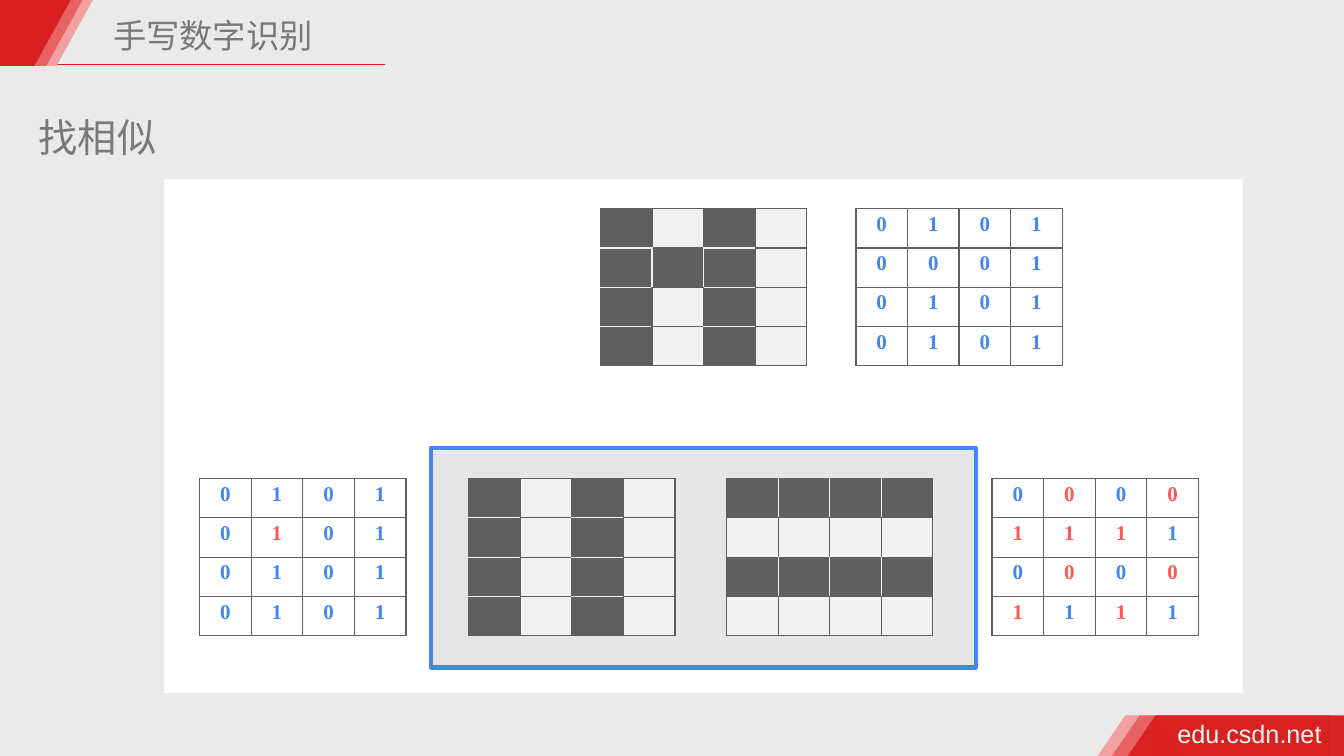
from pptx import Presentation
from pptx.dml.color import RGBColor
from pptx.enum.shapes import MSO_CONNECTOR, MSO_SHAPE as Preset
from pptx.enum.text import MSO_ANCHOR as Anchor, PP_ALIGN as Align
from pptx.oxml.ns import qn
from pptx.util import Cm, Pt
from lxml.etree import SubElement

BACKDROP = RGBColor(0xEA, 0xEA, 0xEA)
RED = RGBColor(0xD8, 0x20, 0x20)
MID_RED = RGBColor(0xE8, 0x62, 0x62)
PALE_RED = RGBColor(0xF1, 0xA1, 0xA1)
WHITE = RGBColor(0xFF, 0xFF, 0xFF)
DARK = RGBColor(0x5F, 0x5F, 0x5F)
LIGHT = RGBColor(0xF2, 0xF2, 0xF2)
FRAME_GREY = RGBColor(0xE6, 0xE6, 0xE6)
TEXT_GREY = RGBColor(0x79, 0x79, 0x79)
BLUE = RGBColor(0x42, 0x85, 0xF4)
MISMATCH = RGBColor(0xFF, 0x57, 0x51)

# Pixel patterns: 0 is a dark pixel, 1 a light one
TARGET = ["0101", "0001", "0101", "0101"]
STRIPES_DOWN = ["0101"] * 4
STRIPES_ACROSS = ["0000", "1111"] * 2


class SlideBuilder:
    chinese_font = "Noto Sans CJK SC"
    digit_font = "Times New Roman"
    label_font = "Arial"
    column_width, row_height = 1.3, 0.99

    def __init__(self, slide):
        self.slide = slide
        slide.background.fill.solid()
        slide.background.fill.fore_color.rgb = BACKDROP

    def block(self, preset, left, top, width, height, fill, line=None, opacity=100):
        block = self.slide.shapes.add_shape(
            preset, Cm(left), Cm(top), Cm(width), Cm(height))
        block.shadow.inherit = False
        block.fill.solid()
        block.fill.fore_color.rgb = fill
        if opacity < 100:
            color = block.fill._xPr.find(qn("a:solidFill"))[0]
            SubElement(color, qn("a:alpha"), val=str(opacity * 1000))
        if line is None:
            block.line.fill.background()
        else:
            block.line.color.rgb = line
            block.line.width = Pt(3)
        return block

    def rule(self, left, right, y, color):
        rule = self.slide.shapes.add_connector(
            MSO_CONNECTOR.STRAIGHT, Cm(left), Cm(y), Cm(right), Cm(y))
        rule.line.color.rgb = color
        rule.line.width = Pt(1)
        SubElement(rule._element.spPr, qn("a:effectLst"))

    def style(self, paragraph, size, font, color, bold=False):
        for run in paragraph.runs:
            run.font.size = Pt(size)
            run.font.name = font
            run.font.bold = bold
            run.font.color.rgb = color
            if font == self.chinese_font:
                SubElement(run._r.get_or_add_rPr(), qn("a:ea"), typeface=font)

    def title(self, text, left, top, width, height):
        title = self.slide.shapes.title
        title.left, title.top, title.width, title.height = map(
            Cm, (left, top, width, height))
        self.fill_text(title.text_frame, text, 23.8, self.chinese_font, TEXT_GREY, 0.13)
        title.text_frame.vertical_anchor = Anchor.MIDDLE
        title.text_frame.paragraphs[0].line_spacing = 1.1

    def label(self, text, left, top, width, height, size, font, color, inset):
        label = self.slide.shapes.add_textbox(Cm(left), Cm(top), Cm(width), Cm(height))
        self.fill_text(label.text_frame, text, size, font, color, inset)

    def fill_text(self, frame, text, size, font, color, inset):
        frame.text = text
        frame.word_wrap = False
        frame.margin_left = frame.margin_right = Cm(inset)
        frame.margin_top = frame.margin_bottom = Cm(0.13)
        frame.paragraphs[0].alignment = Align.LEFT
        self.style(frame.paragraphs[0], size, font, color)

    def grid(self, left, top):
        grid = self.slide.shapes.add_table(
            4, 4, Cm(left), Cm(top), Cm(4 * self.column_width), Cm(4 * self.row_height)).table
        grid.first_row = grid.horz_banding = False
        for column in grid.columns:
            column.width = Cm(self.column_width)
        for row in grid.rows:
            row.height = Cm(self.row_height)
        for cell in grid.iter_cells():
            cell.margin_left = cell.margin_right = Cm(0.2)
            cell.margin_top = cell.margin_bottom = Cm(0.1)
        return grid

    def borders(self, cell, colors):
        for side, color in zip("LRTB", colors):
            border = SubElement(cell._tc.get_or_add_tcPr(), qn(f"a:ln{side}"), w=str(Pt(1)))
            fill = SubElement(border, qn("a:solidFill"))
            SubElement(fill, qn("a:srgbClr"), val=str(color))

    def pixel_grid(self, pattern, left, top):
        grid = self.grid(left, top)

        def is_dark(row, col):
            return 0 <= row < 4 and 0 <= col < 4 and pattern[row][col] == "0"

        for row in range(4):
            for col in range(4):
                cell = grid.cell(row, col)
                neighbours = [(row, col - 1), (row, col + 1), (row - 1, col), (row + 1, col)]
                # A light line separates two dark pixels
                self.borders(cell, [
                    LIGHT if is_dark(row, col) and is_dark(*other) else DARK
                    for other in neighbours])
                cell.fill.solid()
                cell.fill.fore_color.rgb = DARK if is_dark(row, col) else LIGHT

    def digit_grid(self, pattern, left, top):
        grid = self.grid(left, top)
        for row in range(4):
            for col in range(4):
                cell, digit = grid.cell(row, col), pattern[row][col]
                self.borders(cell, [DARK] * 4)
                cell.fill.background()
                cell.text_frame.text = digit
                paragraph = cell.text_frame.paragraphs[0]
                paragraph.alignment = Align.CENTER
                color = BLUE if digit == TARGET[row][col] else MISMATCH
                self.style(paragraph, 15, self.digit_font, color, bold=True)


def main():
    deck = Presentation()
    deck.slide_width, deck.slide_height = Cm(33.87), Cm(19.05)
    page = SlideBuilder(deck.slides.add_slide(deck.slide_layouts[5]))

    # Footer ribbon with the web address
    page.rule(1.24, 9.7, 1.63, RED)
    for left, color, opacity in [(27.66, PALE_RED, 100), (28.02, MID_RED, 100), (28.42, RED, 97)]:
        width = min(4.78, 33.87 - left - 0.71)
        page.block(Preset.RECTANGLE, left + 0.71, 18.03, width, 1.02, color, opacity=opacity)
        page.block(Preset.ISOSCELES_TRIANGLE, left, 18.03, 1.4, 1.02, color, opacity=opacity)
    page.label("edu.csdn.net", 29.54, 17.98, 3.94, 1.02, 18, page.label_font, LIGHT, 0.13)

    # Header ribbon and title
    for left, color in [(0.51, PALE_RED), (0.25, MID_RED), (-0.05, RED)]:
        start = max(left, 0)
        page.block(Preset.RECTANGLE, start, 0, left + 0.91 - start, 1.66, color)
        slant = page.block(Preset.ISOSCELES_TRIANGLE, left, 0, 1.83, 1.66, color)
        slant.rotation = 180
    page.title("手写数字识别", 2.72, 0.13, 5.41, 1.42)

    # White panel and the framed candidates
    page.block(Preset.RECTANGLE, 4.14, 4.52, 27.18, 12.95, WHITE)
    page.block(Preset.RECTANGLE, 10.87, 11.28, 13.72, 5.54, FRAME_GREY, BLUE)
    candidates_top, target_top = 12.06, 5.26
    page.pixel_grid(STRIPES_DOWN, 11.81, candidates_top)
    page.pixel_grid(STRIPES_ACROSS, 18.31, candidates_top)

    # Target image and the digit values
    page.pixel_grid(TARGET, 15.13, target_top)
    page.digit_grid(TARGET, 21.57, target_top)
    page.digit_grid(STRIPES_DOWN, 5.03, candidates_top)
    page.digit_grid(STRIPES_ACROSS, 25, candidates_top)

    page.label("找相似", 0.73, 2.72, 3.5, 1.45, 28, page.chinese_font, TEXT_GREY, 0.25)
    deck.save("out.pptx")


if __name__ == "__main__":
    main()
